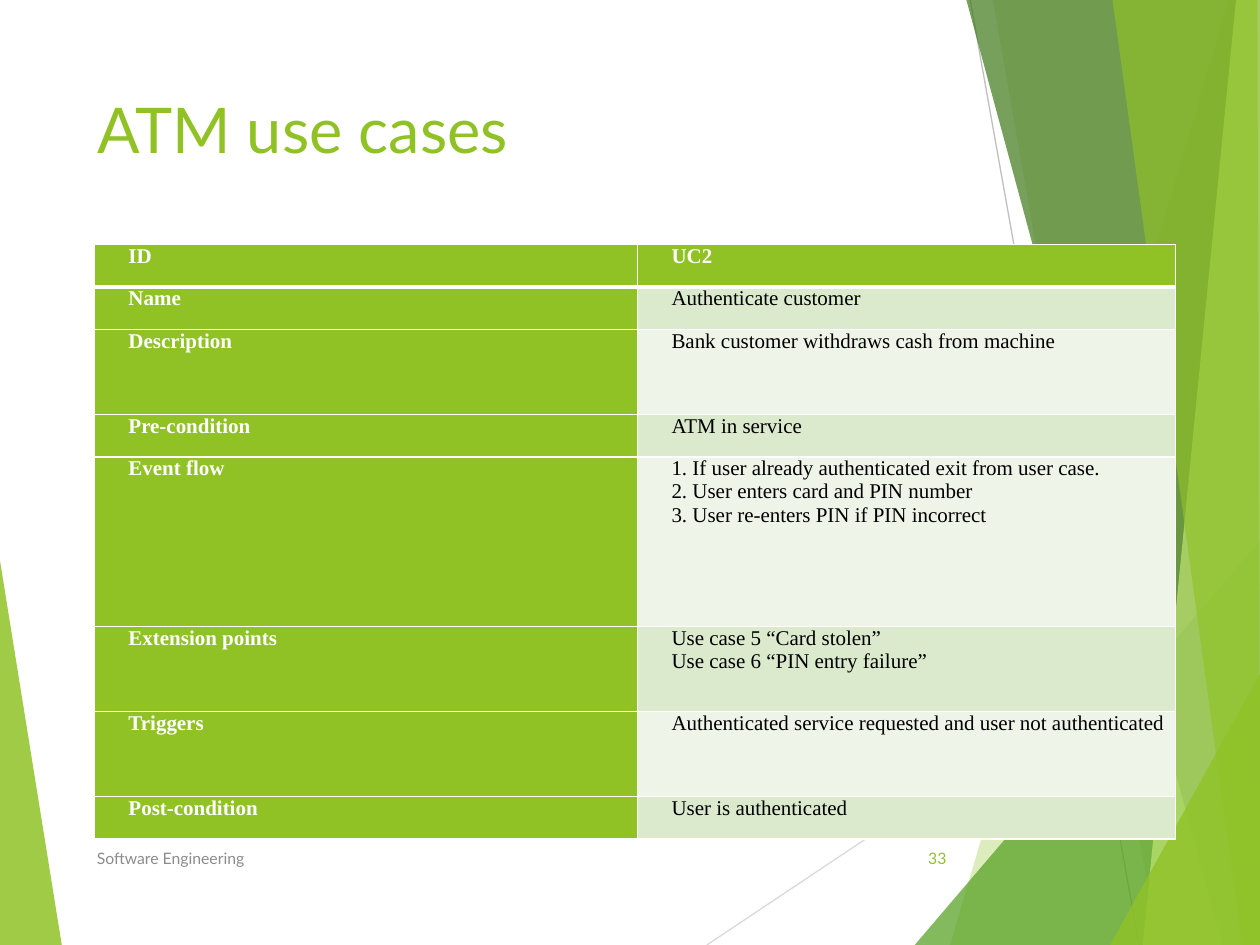
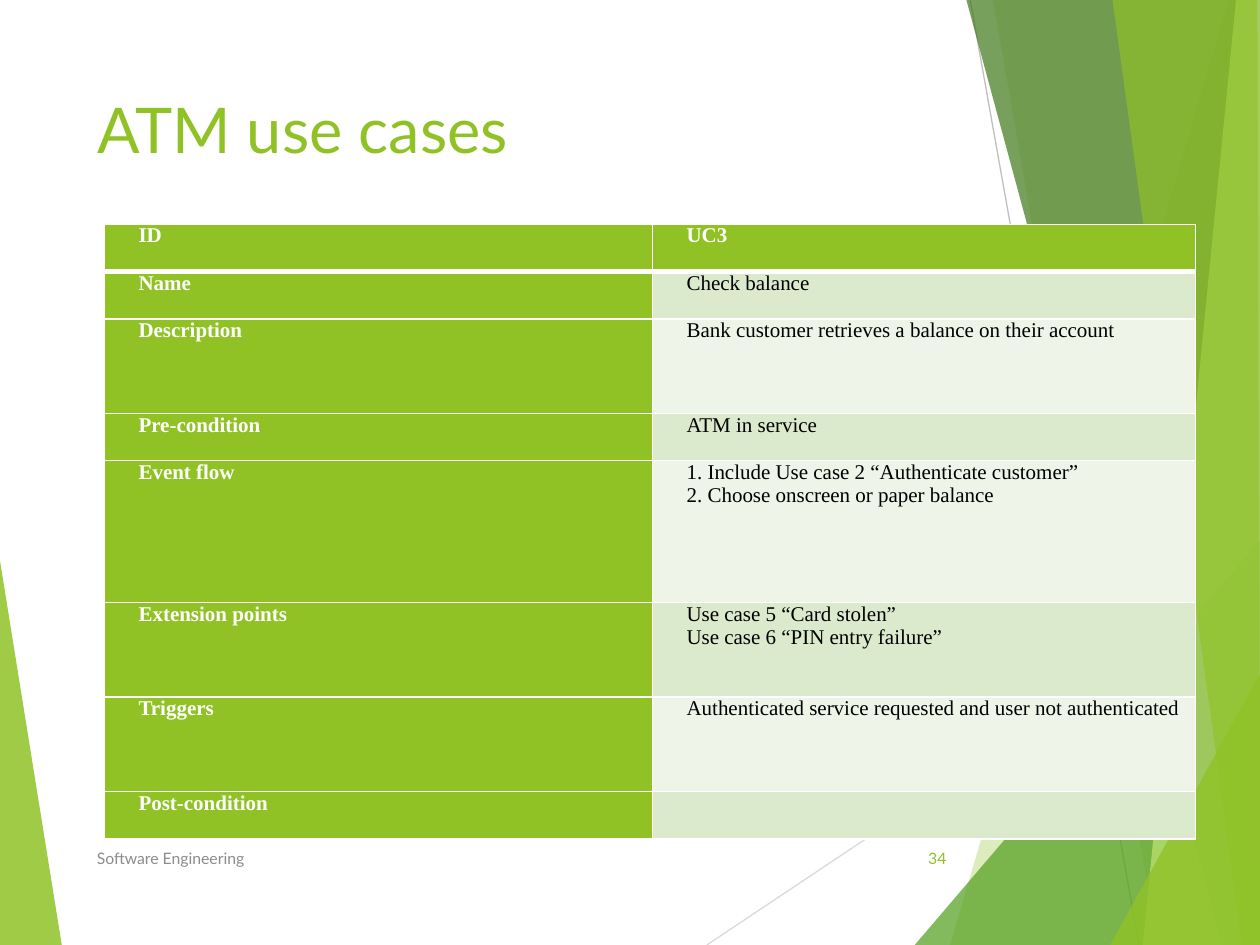
from dataclasses import dataclass
from typing import Any

from lxml.etree import SubElement
from pptx import Presentation
from pptx.dml.color import RGBColor
from pptx.enum.text import MSO_ANCHOR as Anchor, PP_ALIGN as Align
from pptx.oxml.ns import qn
from pptx.slide import Slide
from pptx.util import Inches, Pt


@dataclass(frozen=True)
class Theme:
    lime: str = "90C226"
    pale_lime: str = "C0E474"
    green: str = "54A021"
    forest: str = "3F7819"
    band_dark: str = "DBE9CD"
    band_light: str = "EEF4E8"
    white: str = "FFFFFF"
    black: str = "000000"
    footer_gray: str = "8C8C8C"
    ray_light: str = "D9D9D9"
    ray_dark: str = "BFBFBF"
    heading_font: str = "Lato"
    table_font: str = "Times New Roman"
    title_size: int = 36
    table_size: int = 12
    footer_size: int = 9
    ray_width: float = 0.75
    border: int = 1
    header_border: int = 3


THEME = Theme()
WIDTH, HEIGHT = 10, 7.5


@dataclass(frozen=True)
class Facet:
    points: tuple[tuple[float, float], ...]
    color: str
    opacity: int


@dataclass(frozen=True)
class Ray:
    start: tuple[float, float]
    end: tuple[float, float]
    color: str


@dataclass(frozen=True)
class Box:
    left: float
    top: float
    width: float
    height: float

    def lengths(self) -> tuple[int, ...]:
        return tuple(Inches(v) for v in (self.left, self.top, self.width, self.height))


@dataclass(frozen=True)
class UseCase:
    box: Box
    label_width: float
    row_units: tuple[int, ...]
    values: tuple[str, ...]


def right_facet(top: float, bottom: float, color: str, opacity: int, start: float = 0) -> Facet:
    points = ((top, start), (bottom, HEIGHT), (WIDTH, HEIGHT), (WIDTH, start))
    return Facet(points, color, opacity)


BACKDROP = (
    Facet(((0, 4.45), (0.49, HEIGHT), (0, HEIGHT)), THEME.lime, 85),
    Ray((5.61, HEIGHT), (WIDTH, 4.57), THEME.ray_light),
    Ray((7.7, 0), (9.04, HEIGHT), THEME.ray_dark),
    right_facet(9.75, 7.54, THEME.lime, 30),
    right_facet(7.88, 9.19, THEME.lime, 20),
    right_facet(WIDTH, 7.26, THEME.green, 72, 4.29),
    right_facet(7.67, 9.7, THEME.forest, 70),
    right_facet(9.81, 9.07, THEME.pale_lime, 70),
    Facet(((8.83, 0), (9.86, HEIGHT), (WIDTH, HEIGHT), (9.98, 0)), THEME.lime, 65),
    right_facet(WIDTH, 8.81, THEME.lime, 80, 5.35),
)

TITLE = "ATM use cases"
TITLE_BOX = Box(0.67, 0.67, 6.94, 1.44)
FOOTER = "Software Engineering"
FOOTER_BOX = Box(0.67, 6.61, 5.06, 0.4)
NUMBER_BOX = Box(7.05, 6.61, 0.56, 0.4)
FIRST_NUMBER = 33

FIELDS = ("ID", "Name", "Description", "Pre-condition", "Event flow",
          "Extension points", "Triggers", "Post-condition")
EXTENSIONS = "Use case 5 “Card stolen”\nUse case 6 “PIN entry failure”"
TRIGGER = "Authenticated service requested and user not authenticated"

USE_CASES = (
    UseCase(
        Box(0.75, 1.94, 8.58, 4.72), 4.31, (1, 1, 2, 1, 4, 2, 2, 1),
        ("UC2", "Authenticate customer", "Bank customer withdraws cash from machine",
         "ATM in service",
         "1. If user already authenticated exit from user case.\n"
         "2. User enters card and PIN number\n"
         "3. User re-enters PIN if PIN incorrect",
         EXTENSIONS, TRIGGER, "User is authenticated"),
    ),
    UseCase(
        Box(0.83, 1.78, 8.66, 4.88), 4.35, (1, 1, 2, 1, 3, 2, 2, 1),
        ("UC3", "Check balance", "Bank customer retrieves a balance on their account",
         "ATM in service",
         "1. Include Use case 2 “Authenticate customer”\n"
         "2. Choose onscreen or paper balance",
         EXTENSIONS, TRIGGER, ""),
    ),
)


def apply_formats(target: Any, formats: dict[str, Any]) -> None:
    for name, value in formats.items():
        setattr(target, name, value)


def format_text(frame: Any, font: str, size: int, color: str,
                bold: bool = False, align: Align = Align.LEFT) -> None:
    for paragraph in frame.paragraphs:
        paragraph.alignment = align
        apply_formats(paragraph.font, {"name": font, "size": Pt(size), "bold": bold})
        paragraph.font.color.rgb = RGBColor.from_string(color)
        for run in paragraph.runs:
            apply_formats(run.font, {"name": font, "size": Pt(size), "bold": bold})
            run.font.color.rgb = RGBColor.from_string(color)


def paint(fill: Any, color: str) -> None:
    fill.solid()
    fill.fore_color.rgb = RGBColor.from_string(color)


def draw_facet(slide: Slide, facet: Facet) -> None:
    corners = [(Inches(x), Inches(y)) for x, y in facet.points]
    builder = slide.shapes.build_freeform(*corners[0])
    builder.add_line_segments(corners[1:], close=True)
    pane = builder.convert_to_shape()
    pane.shadow.inherit = False
    paint(pane.fill, facet.color)
    pane.line.fill.background()
    tint = pane.element.spPr.find(f"{qn('a:solidFill')}/{qn('a:srgbClr')}")
    SubElement(tint, qn("a:alpha"), val=str(facet.opacity * 1000))


def draw_ray(slide: Slide, ray: Ray) -> None:
    ends = [Inches(v) for v in (*ray.start, *ray.end)]
    beam = slide.shapes.add_connector(1, *ends)
    beam.line.color.rgb = RGBColor.from_string(ray.color)
    beam.line.width = Pt(THEME.ray_width)
    SubElement(beam.element.spPr, qn("a:effectLst"))


def draw_backdrop(slide: Slide) -> None:
    for part in BACKDROP:
        if isinstance(part, Facet):
            draw_facet(slide, part)
        else:
            draw_ray(slide, part)


def draw_title(slide: Slide) -> None:
    title = slide.shapes.title
    places = dict(zip(("left", "top", "width", "height"), TITLE_BOX.lengths()))
    apply_formats(title, places)
    title.text_frame.text = TITLE
    apply_formats(title.text_frame, {"vertical_anchor": Anchor.TOP, "word_wrap": True})
    format_text(title.text_frame, THEME.heading_font, THEME.title_size, THEME.lime)
    title.element.getparent().append(title.element)


def draw_footer(slide: Slide, box: Box, text: str, color: str, align: Align) -> None:
    frame = slide.shapes.add_textbox(*box.lengths()).text_frame
    frame.text = text
    apply_formats(frame, {"vertical_anchor": Anchor.MIDDLE, "word_wrap": True})
    format_text(frame, THEME.heading_font, THEME.footer_size, color, align=align)


def draw_borders(cell: Any, bottom: int, top: int) -> None:
    properties = cell._tc.get_or_add_tcPr()
    widths = {"a:lnL": THEME.border, "a:lnR": THEME.border, "a:lnT": top, "a:lnB": bottom}
    for position, (tag, width) in enumerate(widths.items()):
        edge = SubElement(properties, qn(tag), w=str(Pt(width)))
        SubElement(SubElement(edge, qn("a:solidFill")), qn("a:srgbClr"), val=THEME.white)
        properties.insert(position, edge)


def fill_cell(cell: Any, text: str, fill: str, color: str, bold: bool, row: int) -> None:
    cell.text = text
    apply_formats(cell, {"margin_left": Inches(0.07), "margin_right": Inches(0.07),
                         "margin_top": 0, "margin_bottom": 0,
                         "vertical_anchor": Anchor.TOP})
    format_text(cell.text_frame, THEME.table_font, THEME.table_size, color, bold)
    for paragraph in cell.text_frame.paragraphs:
        paragraph._p.get_or_add_pPr().set("marL", str(Inches(0.2)))
    paint(cell.fill, fill)
    draw_borders(cell,
                 bottom=THEME.header_border if row == 0 else THEME.border,
                 top=THEME.header_border if row == 1 else THEME.border)


def draw_use_case(slide: Slide, case: UseCase) -> None:
    table = slide.shapes.add_table(len(FIELDS), 2, *case.box.lengths()).table
    apply_formats(table, {"first_row": False, "horz_banding": False})
    table.columns[0].width = Inches(case.label_width)
    table.columns[1].width = Inches(case.box.width - case.label_width)
    unit = case.box.height / sum(case.row_units)
    for row, (field, value, units) in enumerate(zip(FIELDS, case.values, case.row_units)):
        table.rows[row].height = Inches(unit * units)
        fill_cell(table.cell(row, 0), field, THEME.lime, THEME.white, True, row)
        if row == 0:
            fill, color = THEME.lime, THEME.white
        else:
            fill = THEME.band_dark if row % 2 else THEME.band_light
            color = THEME.black
        fill_cell(table.cell(row, 1), value, fill, color, row == 0, row)


def main() -> None:
    deck = Presentation()
    apply_formats(deck, {"slide_width": Inches(WIDTH), "slide_height": Inches(HEIGHT)})
    for number, case in enumerate(USE_CASES, FIRST_NUMBER):
        slide = deck.slides.add_slide(deck.slide_layouts[5])
        draw_backdrop(slide)
        draw_title(slide)
        draw_use_case(slide, case)
        draw_footer(slide, FOOTER_BOX, FOOTER, THEME.footer_gray, Align.LEFT)
        draw_footer(slide, NUMBER_BOX, str(number), THEME.lime, Align.RIGHT)
    deck.save("out.pptx")


if __name__ == "__main__":
    main()
